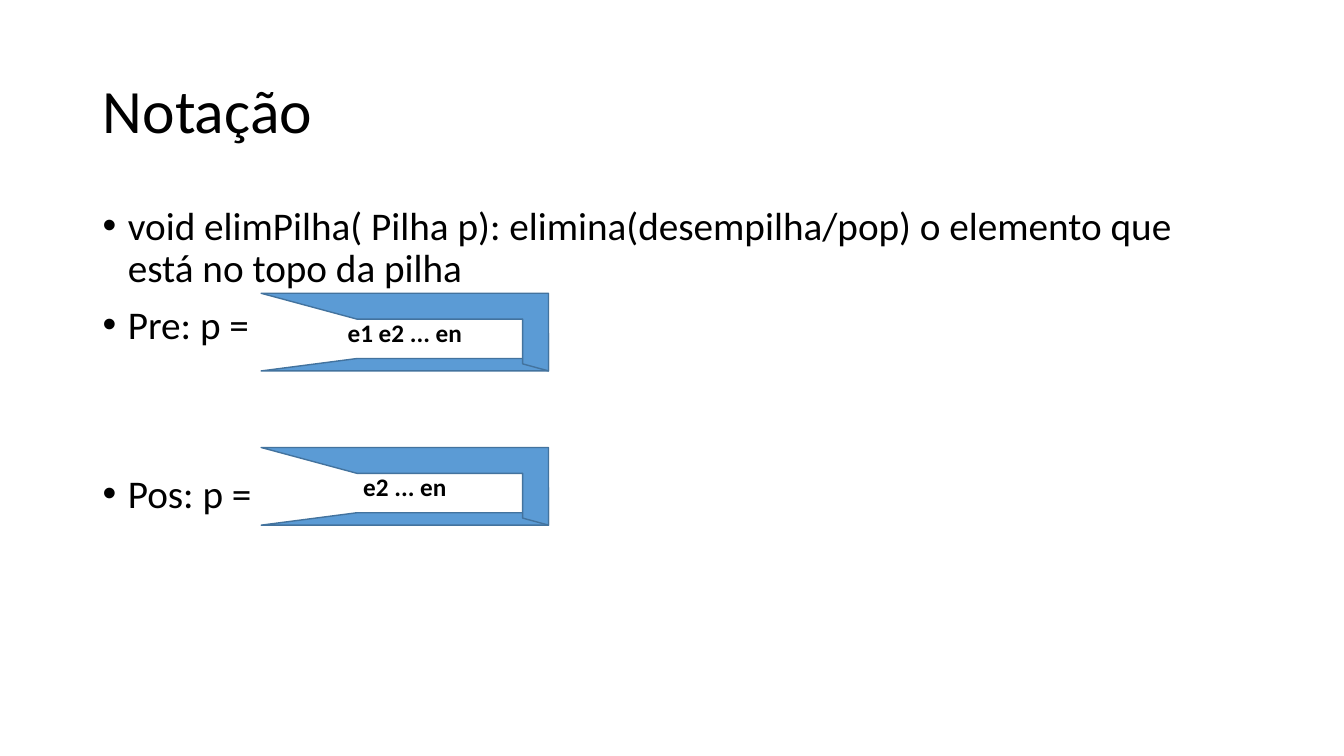
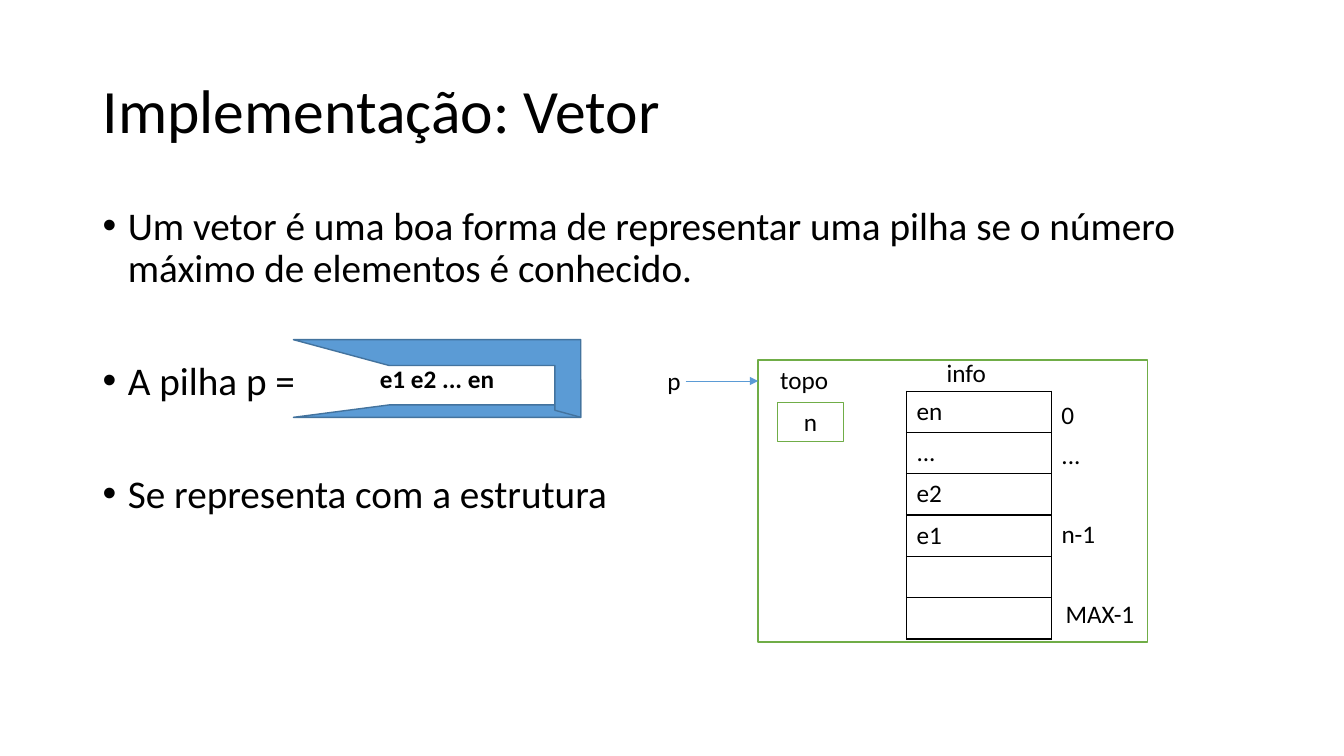
"""Build two slides on stacks: pop notation and array implementation."""
from lxml import etree
from pptx import Presentation
from pptx import util as u
from pptx.dml.color import RGBColor
from pptx.enum import shapes, text
from pptx.oxml import ns

BLACK = RGBColor(0x00, 0x00, 0x00)
WHITE = RGBColor(0xFF, 0xFF, 0xFF)
BLUE = RGBColor(0x5B, 0x9B, 0xD5)
DARK_BLUE = RGBColor(0x43, 0x73, 0x9E)
GREEN = RGBColor(0x70, 0xAD, 0x47)
FONT = "Calibri"
WIDTH, HEIGHT = 13.33, 7.5
MARGIN, CONTENT_WIDTH = 0.92, 11.5
TITLE_BOX = (MARGIN, 0.4, CONTENT_WIDTH, 1.45)
BODY_BOX = (MARGIN, 2, CONTENT_WIDTH, 4.76)
STACK_WIDTH, STACK_HEIGHT, STACK_BASE = 2.85, 0.77, 0.37
GAP, LINE_STEP = 10, 40.2
TITLE_FORMAT = {"size": 44}
BODY_FORMAT = {"size": 28}
LABEL_FORMAT = {"size": 18}
STACK_FORMAT = {"size": 18, "bold": True}

SLIDES = [
    {
        "title": "Notação",
        "bullets": [
            ("void elimPilha( Pilha p): elimina(desempilha/pop) o elemento que está no topo da pilha", 0),
            ("Pre: p =", 0),
            ("Pos: p =", 2),
        ],
        "stacks": [("e1 e2 ... en", 2.59, 2.91), ("e2 ... en", 2.59, 4.44)],
    },
    {
        "title": "Implementação: Vetor",
        "bullets": [
            ("Um vetor é uma boa forma de representar uma pilha se o número máximo de elementos é conhecido.", 0),
            ("A pilha p =", 1),
            ("Se representa com a estrutura", 1),
        ],
        "stacks": [("e1 e2 ... en", 2.91, 3.37)],
    },
]
STRUCT_BOX = (7.52, 3.57, 3.86, 2.8)
TOP_BOX = (7.71, 3.99, 0.66, 0.39)
VECTOR = ["en", "...", "e2", "e1", "", ""]
VECTOR_LEFT, VECTOR_TOP, VECTOR_WIDTH, ROW = 8.99, 3.88, 1.44, 0.41
LABEL_HEIGHT = 0.4
INDEX_TOP, INDEX_STEP = 3.91, 0.395
INDEXES = [("0", 0, 10.43, 0.4), ("...", 1, 10.43, 0.4), ("n-1", 3, 10.43, 0.95), ("MAX-1", 5, 10.47, 0.95)]
FIELDS = [("topo", 7.64, 3.57, 0.95), ("p", 6.52, 3.58, 0.37), ("info", 9.29, 3.5, 0.95)]
POINTER_LEFT, POINTER_Y = 6.8, 3.78


def inches(values):
    return [u.Inches(value) for value in values]


def apply(target, values):
    for name, value in values.items():
        setattr(target, name, value)


def write(paragraph, words, font, **layout):
    run = paragraph.add_run()
    run.text = words
    apply(run.font, {"name": FONT, **{k: u.Pt(v) if k == "size" else v for k, v in font.items()}})
    run.font.color.rgb = BLACK
    apply(paragraph, layout)


def add_figure(parent, kind, box, fill, outline):
    figure = parent.add_shape(kind, *inches(box))
    figure.shadow.inherit = False
    figure.fill.solid()
    figure.fill.fore_color.rgb = fill
    figure.line.color.rgb = outline
    figure.line.width = u.Pt(1)
    return figure


def write_centred(figure, words, font):
    figure.text_frame.vertical_anchor = text.MSO_ANCHOR.MIDDLE
    write(figure.text_frame.paragraphs[0], words, font, alignment=text.PP_ALIGN.CENTER)


def add_title(slide, words):
    title = slide.shapes.title
    apply(title, dict(zip(("left", "top", "width", "height"), inches(TITLE_BOX))))
    title.text_frame.vertical_anchor = text.MSO_ANCHOR.MIDDLE
    write(title.text_frame.paragraphs[0], words, TITLE_FORMAT,
          alignment=text.PP_ALIGN.LEFT, line_spacing=0.9)


def add_bullets(slide, bullets):
    frame = slide.shapes.add_textbox(*inches(BODY_BOX)).text_frame
    frame.word_wrap = True
    for number, (words, skipped) in enumerate(bullets):
        paragraph = frame.add_paragraph() if number else frame.paragraphs[0]
        write(paragraph, words, BODY_FORMAT, line_spacing=0.9,
              space_before=u.Pt(GAP + skipped * LINE_STEP))
        props = paragraph._p.get_or_add_pPr()
        props.set("marL", str(u.Inches(0.25)))
        props.set("indent", str(u.Inches(-0.25)))
        etree.SubElement(props, ns.qn("a:buFont")).set("typeface", "Arial")
        etree.SubElement(props, ns.qn("a:buChar")).set("char", "•")


def add_stack(slide, words, left, top):
    members = slide.shapes.add_group_shape().shapes
    for height in (STACK_BASE, STACK_HEIGHT):
        box = (left, top + STACK_HEIGHT - height, STACK_WIDTH, height)
        frame = add_figure(members, shapes.MSO_SHAPE.HALF_FRAME, box, BLUE, DARK_BLUE)
        frame.rotation = 180
    frame.element.spPr.find(ns.qn("a:xfrm")).set("flipV", "1")
    write_centred(frame, words, STACK_FORMAT)


def add_label(slide, words, left, top, width):
    frame = slide.shapes.add_textbox(*inches((left, top, width, LABEL_HEIGHT))).text_frame
    apply(frame, {"word_wrap": True, "auto_size": text.MSO_AUTO_SIZE.SHAPE_TO_FIT_TEXT})
    write(frame.paragraphs[0], words, LABEL_FORMAT)


def add_vector(slide):
    box = (VECTOR_LEFT, VECTOR_TOP, VECTOR_WIDTH, ROW * len(VECTOR))
    vector = slide.shapes.add_table(len(VECTOR), 1, *inches(box)).table
    apply(vector, {"first_row": False, "horz_banding": False})
    for number, words in enumerate(VECTOR):
        vector.rows[number].height = u.Inches(ROW)
        cell = vector.cell(number, 0)
        if words:
            write(cell.text_frame.paragraphs[0], words, LABEL_FORMAT)
        props = cell._tc.get_or_add_tcPr()
        for side in ("a:lnL", "a:lnR", "a:lnT", "a:lnB"):
            border = etree.SubElement(props, ns.qn(side), w=str(u.Pt(1)))
            paint = etree.SubElement(border, ns.qn("a:solidFill"))
            etree.SubElement(paint, ns.qn("a:srgbClr"), val=str(BLACK))
        cell.fill.background()


def add_pointer(slide):
    ends = inches((POINTER_LEFT, POINTER_Y, STRUCT_BOX[0], POINTER_Y))
    pointer = slide.shapes.add_connector(shapes.MSO_CONNECTOR.STRAIGHT, *ends)
    pointer.line.color.rgb = BLUE
    pointer.line.width = u.Pt(0.5)
    props = pointer.element.spPr
    etree.SubElement(props.find(ns.qn("a:ln")), ns.qn("a:tailEnd"), type="triangle")
    etree.SubElement(props, ns.qn("a:effectLst"))


def add_structure(slide):
    add_figure(slide.shapes, shapes.MSO_SHAPE.RECTANGLE, STRUCT_BOX, WHITE, GREEN)
    add_vector(slide)
    for words, row, left, width in INDEXES:
        add_label(slide, words, left, INDEX_TOP + row * INDEX_STEP, width)
    top_index = add_figure(slide.shapes, shapes.MSO_SHAPE.RECTANGLE, TOP_BOX, WHITE, GREEN)
    write_centred(top_index, "n", LABEL_FORMAT)
    for field in FIELDS:
        add_label(slide, *field)
    add_pointer(slide)


def main():
    deck = Presentation()
    apply(deck, {"slide_width": u.Inches(WIDTH), "slide_height": u.Inches(HEIGHT)})
    for content in SLIDES:
        slide = deck.slides.add_slide(deck.slide_layouts[5])
        add_title(slide, content["title"])
        add_bullets(slide, content["bullets"])
        for stack in content["stacks"]:
            add_stack(slide, *stack)
    add_structure(slide)
    deck.save("out.pptx")


if __name__ == "__main__":
    main()
